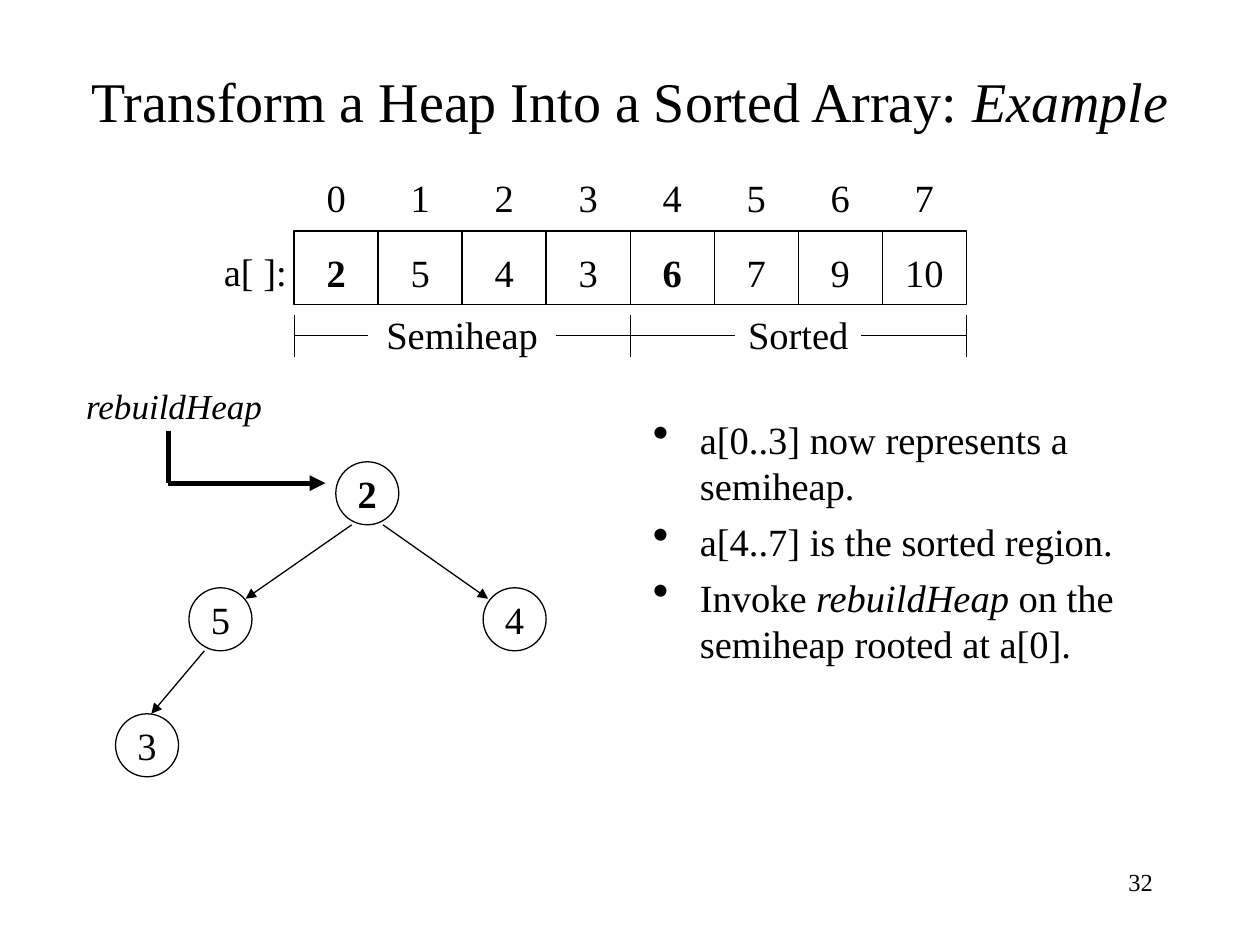
from dataclasses import dataclass

from pptx import Presentation
from pptx.dml.color import RGBColor
from pptx.enum.shapes import MSO_CONNECTOR, MSO_SHAPE
from pptx.enum.text import MSO_ANCHOR as Anchor, MSO_AUTO_SIZE as AutoSize, PP_ALIGN as Align
from pptx.oxml.ns import qn
from pptx.util import Cm, Pt
from lxml.etree import SubElement


@dataclass(frozen=True)
class Theme:
    ink: RGBColor = RGBColor(0, 0, 0)
    font: str = "Times New Roman"
    title: int = 32
    body: int = 22
    call: int = 20
    page: int = 14
    thin: float = 0.75
    thick: float = 3


THEME = Theme()
VALUES = ["2", "5", "4", "3", "6", "7", "9", "10"]
BOLD_INDICES = (0, 4)
ARRAY_LEFT, ARRAY_TOP, ARRAY_HEIGHT = 5.93, 4.66, 1.48
CELL = 13.55 / len(VALUES)
NODE = 1.27
REGIONS = [("Semiheap", 0, 4, 1.9), ("Sorted", 4, 8, 1.27)]
NODES = [("2", 6.77, 9.31), ("5", 3.81, 11.85), ("4", 9.74, 11.85), ("3", 2.33, 14.39)]
EDGES = [
    ((7.09, 10.58), (4.95, 12.07)),
    ((7.72, 10.58), (9.84, 12.07)),
    ((4.12, 13.12), (3.05, 14.39)),
]
BULLETS = [
    [("a[0..3] now represents a semiheap.", False)],
    [("a[4..7] is the sorted region.", False)],
    [("Invoke ", False), ("rebuildHeap", True), (" on the semiheap rooted at a[0].", False)],
]


def style(paragraph, size, align=Align.LEFT, bold=False, italic=None):
    paragraph.alignment = align
    font = paragraph.font
    font.name, font.size = THEME.font, Pt(size)
    font.bold, font.italic = bold, italic
    font.color.rgb = THEME.ink


def add_runs(paragraph, parts):
    for text, italic in parts:
        run = paragraph.add_run()
        run.text = text
        if italic:
            run.font.italic = True


def add_label(slide, text, box, size=THEME.body, align=Align.CENTER, italic=None):
    frame = slide.shapes.add_textbox(*map(Cm, box)).text_frame
    frame.word_wrap = True
    frame.text = text
    style(frame.paragraphs[0], size, align, italic=italic)


def add_outlined(slide, preset, text, box, bold=False, drop=0):
    outlined = slide.shapes.add_shape(preset, *map(Cm, box))
    outlined.shadow.inherit = False
    outlined.fill.background()
    outlined.line.color.rgb = THEME.ink
    outlined.line.width = Pt(THEME.thin)
    frame = outlined.text_frame
    frame.margin_left = frame.margin_right = frame.margin_bottom = 0
    frame.margin_top = Cm(drop)
    frame.vertical_anchor = Anchor.MIDDLE
    frame.word_wrap = False
    frame.text = text
    style(frame.paragraphs[0], THEME.body, Align.CENTER, bold)


def add_line(slide, start, end, width=THEME.thin, arrow=False):
    line = slide.shapes.add_connector(MSO_CONNECTOR.STRAIGHT, *map(Cm, (*start, *end)))
    line.line.color.rgb = THEME.ink
    line.line.width = Pt(width)
    if arrow:
        SubElement(line.line._get_or_add_ln(), qn("a:tailEnd"), type="triangle")
    SubElement(line._element.spPr, qn("a:effectLst"))


def add_title(slide):
    title = slide.shapes.title
    title.left, title.top, title.width, title.height = map(Cm, (1.48, 1.27, 22.44, 1.48))
    frame = title.text_frame
    frame.auto_size = AutoSize.NONE
    frame.vertical_anchor = Anchor.MIDDLE
    heading = frame.paragraphs[0]
    add_runs(heading, [("Transform a Heap Into a Sorted Array: ", False), ("Example", True)])
    style(heading, THEME.title, Align.CENTER)


def add_array(slide):
    add_label(slide, "a[ ]:", (4.15, 4.88, 2, 1.19))
    for index, value in enumerate(VALUES):
        left = ARRAY_LEFT + index * CELL
        add_label(slide, str(index), (left, 3.39, CELL, 1.19))
        cell = (left, ARRAY_TOP, CELL, ARRAY_HEIGHT)
        add_outlined(slide, MSO_SHAPE.RECTANGLE, value, cell, index in BOLD_INDICES, drop=0.16)


def add_regions(slide):
    top, middle, bottom = 6.35, 6.77, 7.2
    stops = [ARRAY_LEFT]
    for name, first, last, half_gap in REGIONS:
        center = ARRAY_LEFT + (first + last) / 2 * CELL
        stops += [center - half_gap, center + half_gap]
        add_label(slide, name, (center - half_gap, 6.15, 2 * half_gap, 1.19))
    stops.append(ARRAY_LEFT + len(VALUES) * CELL)
    for start, end in zip(stops[::2], stops[1::2]):
        add_line(slide, (start, middle), (end, middle))
    for index in (0, 4, 8):
        tick = ARRAY_LEFT + index * CELL
        add_line(slide, (tick, top), (tick, bottom))


def add_tree(slide):
    for value, left, top in NODES:
        add_outlined(slide, MSO_SHAPE.OVAL, value, (left, top, NODE, NODE), value == "2")
    for start, end in EDGES:
        add_line(slide, start, end, arrow=True)


def add_call(slide):
    add_label(slide, "rebuildHeap", (1.48, 7.62, 4.06, 1.12), THEME.call, italic=True)
    corner = (3.39, 9.74)
    add_line(slide, (3.39, 8.68), corner, THEME.thick)
    add_line(slide, corner, (6.56, 9.74), THEME.thick, arrow=True)


def add_bullets(slide):
    frame = slide.shapes.add_textbox(*map(Cm, (12.91, 8.26, 10.8, 9.31))).text_frame
    frame.word_wrap = True
    for number, parts in enumerate(BULLETS):
        point = frame.add_paragraph() if number else frame.paragraphs[0]
        if number:
            point.space_before = Pt(5.5)
        properties = point._p.get_or_add_pPr()
        properties.set("marL", str(Cm(0.95)))
        properties.set("indent", str(-Cm(0.95)))
        SubElement(properties, qn("a:buSzPct"), val="120000")
        SubElement(properties, qn("a:buChar"), char="•")
        add_runs(point, parts)
        style(point, THEME.body)


def main():
    deck = Presentation()
    deck.slide_width, deck.slide_height = Cm(25.4), Cm(19.05)
    slide = deck.slides.add_slide(deck.slide_layouts[5])
    add_title(slide)
    add_array(slide)
    add_regions(slide)
    add_call(slide)
    add_tree(slide)
    add_bullets(slide)
    add_label(slide, "32", (18.2, 17.36, 5.29, 1.27), THEME.page, Align.RIGHT)
    deck.save("out.pptx")


if __name__ == "__main__":
    main()
